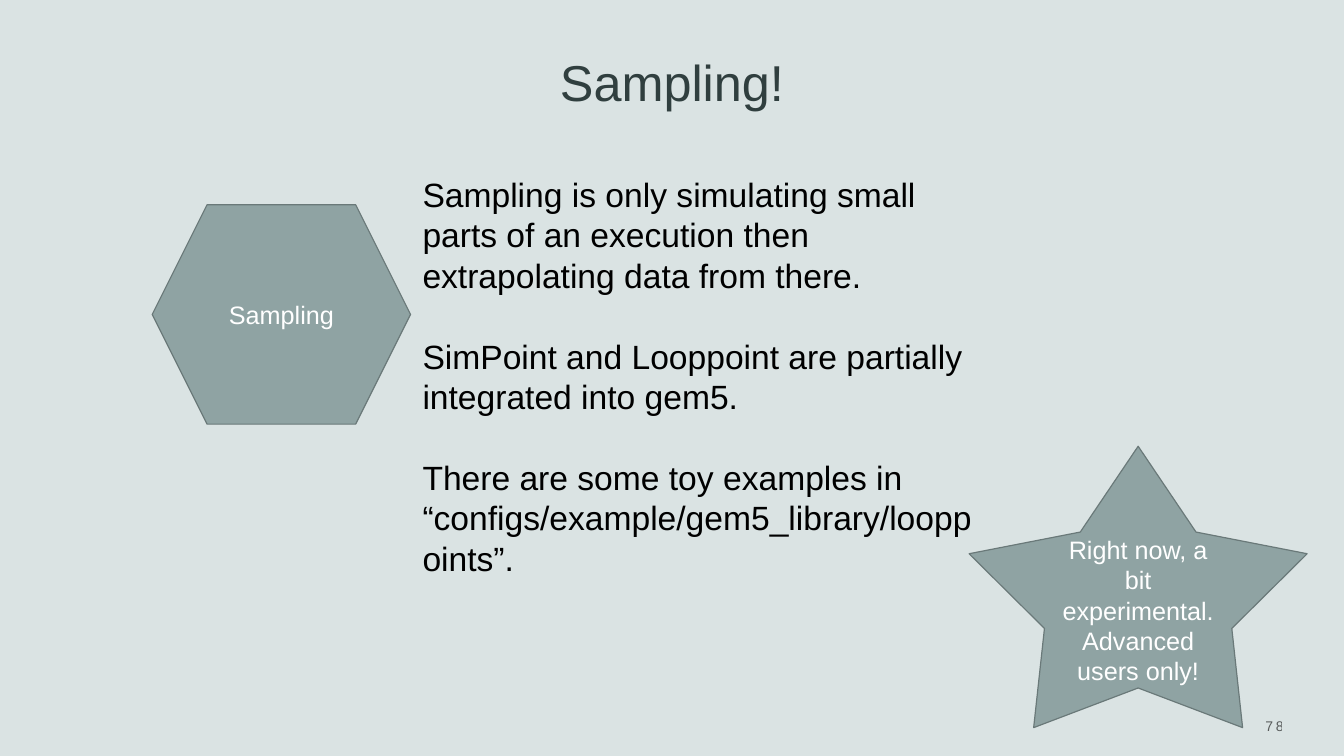
from lxml.etree import SubElement
from pptx import Presentation
from pptx.dml.color import RGBColor
from pptx.enum.shapes import MSO_SHAPE as Shape
from pptx.enum.text import MSO_ANCHOR as Anchor, PP_ALIGN as Align
from pptx.oxml.ns import qn
from pptx.util import Emu, Pt

EMU_PER_PX = 9525
COLORS = {
    "background": "DAE3E3",
    "title": "303F3F",
    "shape": "8FA3A3",
    "outline": "6A7979",
    "light": "FFFFFF",
    "dark": "000000",
}


def px(value):
    return Emu(value * EMU_PER_PX)


def color(name):
    return RGBColor.from_string(COLORS[name])


def apply_format(target, values):
    for name, value in values.items():
        setattr(target, name, value)


def write_text(frame, lines, size, ink, anchor, align, gap=0):
    apply_format(frame, {"word_wrap": True, "vertical_anchor": anchor})
    for index, line in enumerate(lines):
        para = frame.paragraphs[0] if index == 0 else frame.add_paragraph()
        apply_format(para, {
            "alignment": align,
            "line_spacing": 1.0,
            "space_before": Pt(gap if index else 0),
        })
        span = para.add_run()
        span.text = line
        apply_format(span.font, {"name": "Arial", "size": Pt(size)})
        span.font.color.rgb = color(ink)


def add_title(page, text, left, top, width, height):
    title = page.shapes.title
    apply_format(title, {
        "left": px(left), "top": px(top),
        "width": px(width), "height": px(height),
    })
    write_text(title.text_frame, [text], 36, "title", Anchor.BOTTOM, Align.CENTER)


def add_label_shape(page, kind, lines, *bounds):
    shape = page.shapes.add_shape(kind, *map(px, bounds))
    shape.shadow.inherit = False
    shape.fill.solid()
    shape.fill.fore_color.rgb = color("shape")
    shape.line.color.rgb = color("outline")
    shape.line.width = Pt(0.85)
    write_text(shape.text_frame, lines, 18, "light", Anchor.MIDDLE, Align.CENTER)
    return shape


def add_body(page, lines, *bounds):
    box = page.shapes.add_textbox(*map(px, bounds))
    write_text(box.text_frame, lines, 24, "dark", Anchor.TOP, Align.LEFT, gap=29)


def add_page_number(page, number, *bounds):
    box = page.shapes.add_textbox(*map(px, bounds))
    write_text(box.text_frame, [number], 10, "dark", Anchor.MIDDLE, Align.RIGHT)
    properties = box.text_frame.paragraphs[0].runs[0].font._element
    properties.set("spc", "200")
    ink = properties.find(".//" + qn("a:srgbClr"))
    SubElement(ink, qn("a:alpha")).set("val", "60000")


def main():
    deck = Presentation()
    apply_format(deck, {"slide_width": px(1280), "slide_height": px(720)})
    page = deck.slides.add_slide(deck.slide_layouts.get_by_name("Title Only"))
    page.background.fill.solid()
    page.background.fill.fore_color.rgb = color("background")

    add_title(page, "Sampling!", 104, 42, 1072, 69)
    add_page_number(page, "78", 1048, 667, 184, 48)
    add_label_shape(page, Shape.HEXAGON, ["Sampling"], 145, 195, 246, 209)
    star = add_label_shape(
        page, Shape.STAR_5_POINT,
        ["Right now, a bit experimental.", "Advanced users only!"],
        923, 425, 322, 268,
    )
    star.adjustments[0] = 0.277
    add_body(page, [
        "Sampling is only simulating small parts of an execution then "
        "extrapolating data from there.",
        "SimPoint and Looppoint are partially integrated into gem5.",
        "There are some toy examples in “configs/example/gem5_library/looppoints”.",
    ], 393, 161, 554, 397)
    deck.save("out.pptx")


if __name__ == "__main__":
    main()
